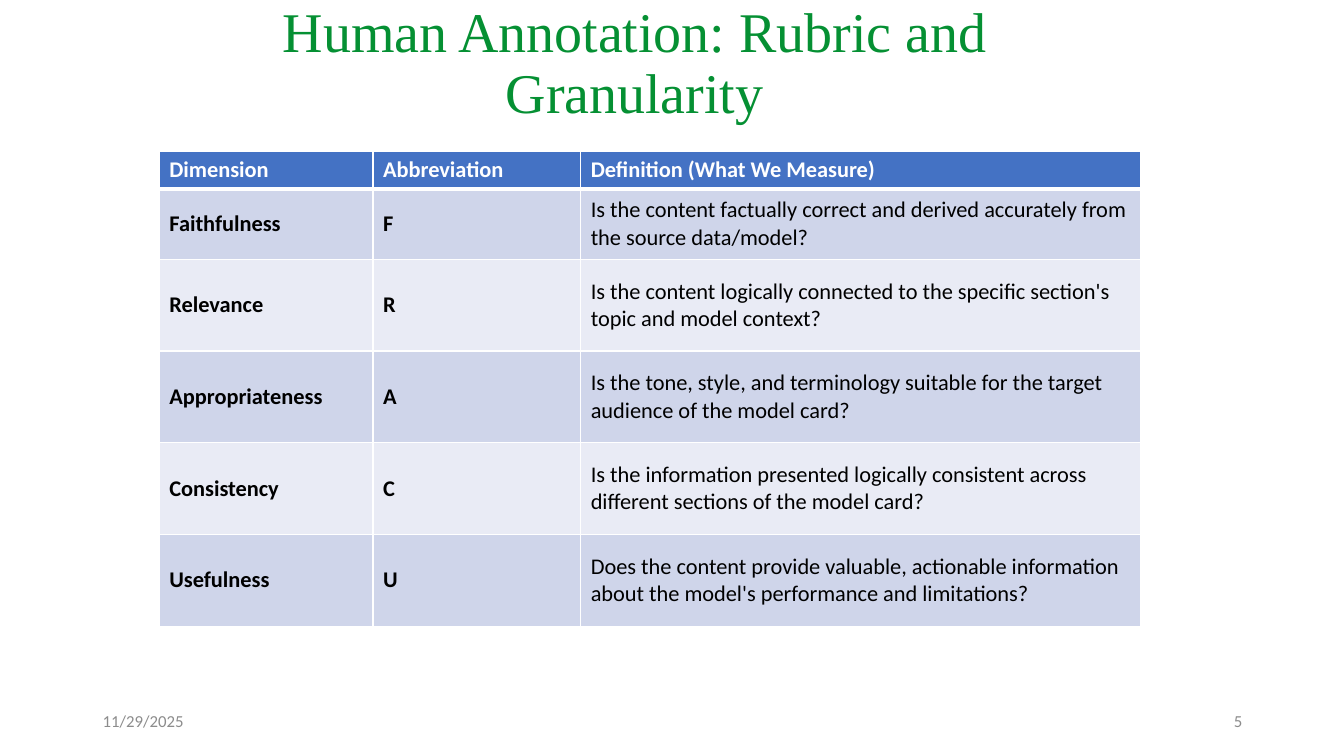
from dataclasses import dataclass

from lxml.etree import SubElement
from pptx import Presentation
from pptx.dml.color import RGBColor
from pptx.enum.text import MSO_ANCHOR, MSO_AUTO_SIZE, PP_ALIGN
from pptx.oxml.ns import qn
from pptx.slide import Slide
from pptx.table import Table, _Cell
from pptx.text.text import TextFrame
from pptx.util import Inches, Pt

WHITE = RGBColor(0xFF, 0xFF, 0xFF)
BLACK = RGBColor(0x00, 0x00, 0x00)
GREEN = RGBColor(0x05, 0x90, 0x33)
GRAY = RGBColor(0x8C, 0x8C, 0x8C)
HEADER_BLUE = RGBColor(0x44, 0x72, 0xC4)
BANDS = (RGBColor(0xCF, 0xD5, 0xEA), RGBColor(0xE9, 0xEB, 0xF5))

COLUMN_WIDTHS = (2.12, 2.06, 5.55)
ROW_HEIGHTS = (0.37, 0.7, 0.91, 0.91, 0.91, 0.91)
THIN, THICK = 1, 3

TITLE_FORMAT = {"name": "Times New Roman", "size": Pt(40)}
TABLE_FORMAT = {"name": "Calibri", "size": Pt(16)}
FOOTER_FORMAT = {"name": "Calibri", "size": Pt(12)}
FRAME_FORMAT = {
    "word_wrap": True,
    "auto_size": MSO_AUTO_SIZE.NONE,
    "vertical_anchor": MSO_ANCHOR.MIDDLE,
}


@dataclass(frozen=True)
class Criterion:
    dimension: str
    abbreviation: str
    definition: str


@dataclass(frozen=True)
class FooterText:
    text: str
    left: float
    alignment: PP_ALIGN


HEADER = Criterion("Dimension", "Abbreviation", "Definition (What We Measure)")
CRITERIA = (
    Criterion("Faithfulness", "F",
              "Is the content factually correct and derived accurately from "
              "the source data/model?"),
    Criterion("Relevance", "R",
              "Is the content logically connected to the specific section's "
              "topic and model context?"),
    Criterion("Appropriateness", "A",
              "Is the tone, style, and terminology suitable for the target "
              "audience of the model card?"),
    Criterion("Consistency", "C",
              "Is the information presented logically consistent across "
              "different sections of the model card?"),
    Criterion("Usefulness", "U",
              "Does the content provide valuable, actionable information "
              "about the model's performance and limitations?"),
)
FOOTERS = (
    FooterText("11/29/2025", 0.92, PP_ALIGN.LEFT),
    FooterText("5", 9.42, PP_ALIGN.RIGHT),
)


def set_attributes(target: object, values: dict) -> None:
    for name, value in values.items():
        setattr(target, name, value)


def write_text(frame: TextFrame, text: str, font_format: dict, color: RGBColor,
               alignment: PP_ALIGN = PP_ALIGN.LEFT) -> None:
    paragraph = frame.paragraphs[0]
    paragraph.alignment = alignment
    run = paragraph.add_run()
    run.text = text
    set_attributes(run.font, font_format)
    run.font.color.rgb = color


def add_borders(cell: _Cell, top: int, bottom: int) -> None:
    """Draw white cell edges; call before filling, as the schema puts lines first."""
    properties = cell._tc.get_or_add_tcPr()
    widths = {"a:lnL": THIN, "a:lnR": THIN, "a:lnT": top, "a:lnB": bottom}
    for tag, width in widths.items():
        line = SubElement(properties, qn(tag), w=str(Pt(width)))
        fill = SubElement(line, qn("a:solidFill"))
        SubElement(fill, qn("a:srgbClr"), val=str(WHITE))


def fill_row(table: Table, row: int, criterion: Criterion) -> None:
    is_header = row == 0
    texts = (criterion.dimension, criterion.abbreviation, criterion.definition)
    for column, text in enumerate(texts):
        cell = table.cell(row, column)
        cell.vertical_anchor = MSO_ANCHOR.MIDDLE
        add_borders(cell, THICK if row == 1 else THIN, THICK if is_header else THIN)
        cell.fill.solid()
        cell.fill.fore_color.rgb = HEADER_BLUE if is_header else BANDS[(row - 1) % 2]
        bold = is_header or column < 2
        write_text(cell.text_frame, text, TABLE_FORMAT | {"bold": bold},
                   WHITE if is_header else BLACK)


def add_title(slide: Slide) -> None:
    title = slide.shapes.title
    set_attributes(title, {"left": Inches(1.63), "top": Inches(-0.08),
                           "width": Inches(9.33), "height": Inches(1.45)})
    set_attributes(title.text_frame, FRAME_FORMAT)
    write_text(title.text_frame, "Human Annotation: Rubric and Granularity",
               TITLE_FORMAT, GREEN, PP_ALIGN.CENTER)
    title.text_frame.paragraphs[0].line_spacing = 0.9


def add_rubric(slide: Slide) -> None:
    table = slide.shapes.add_table(
        len(ROW_HEIGHTS), len(COLUMN_WIDTHS), Inches(1.58), Inches(1.5),
        Inches(sum(COLUMN_WIDTHS)), Inches(sum(ROW_HEIGHTS))).table
    for column, width in zip(table.columns, COLUMN_WIDTHS):
        column.width = Inches(width)
    for row, height in zip(table.rows, ROW_HEIGHTS):
        row.height = Inches(height)
    for row, criterion in enumerate((HEADER, *CRITERIA)):
        fill_row(table, row, criterion)


def add_footer(slide: Slide, footer: FooterText) -> None:
    box = slide.shapes.add_textbox(Inches(footer.left), Inches(6.95),
                                   Inches(3), Inches(0.4))
    set_attributes(box.text_frame, FRAME_FORMAT)
    write_text(box.text_frame, footer.text, FOOTER_FORMAT, GRAY, footer.alignment)


def main() -> None:
    presentation = Presentation()
    set_attributes(presentation, {"slide_width": Inches(13.33),
                                  "slide_height": Inches(7.5)})
    title_only = presentation.slide_layouts[5]
    slide = presentation.slides.add_slide(title_only)
    add_title(slide)
    for footer in FOOTERS:
        add_footer(slide, footer)
    add_rubric(slide)
    presentation.save("out.pptx")


if __name__ == "__main__":
    main()
